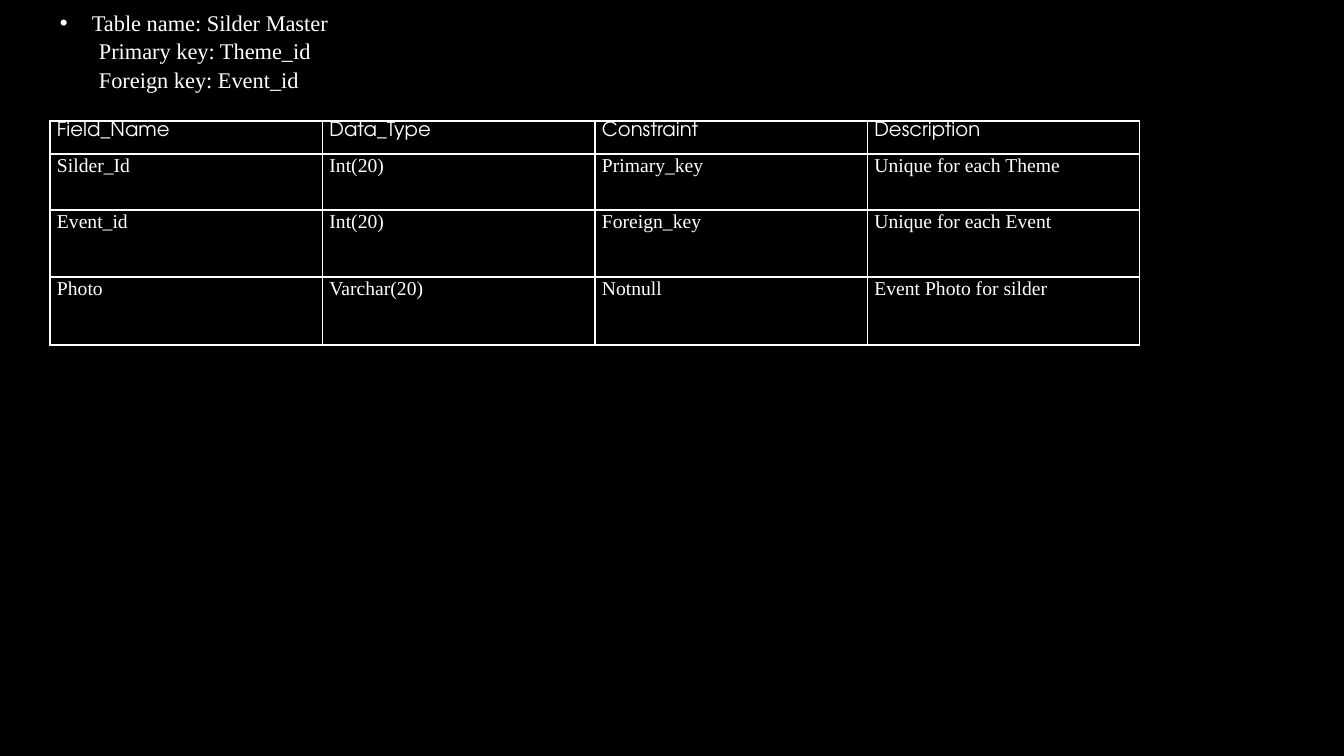
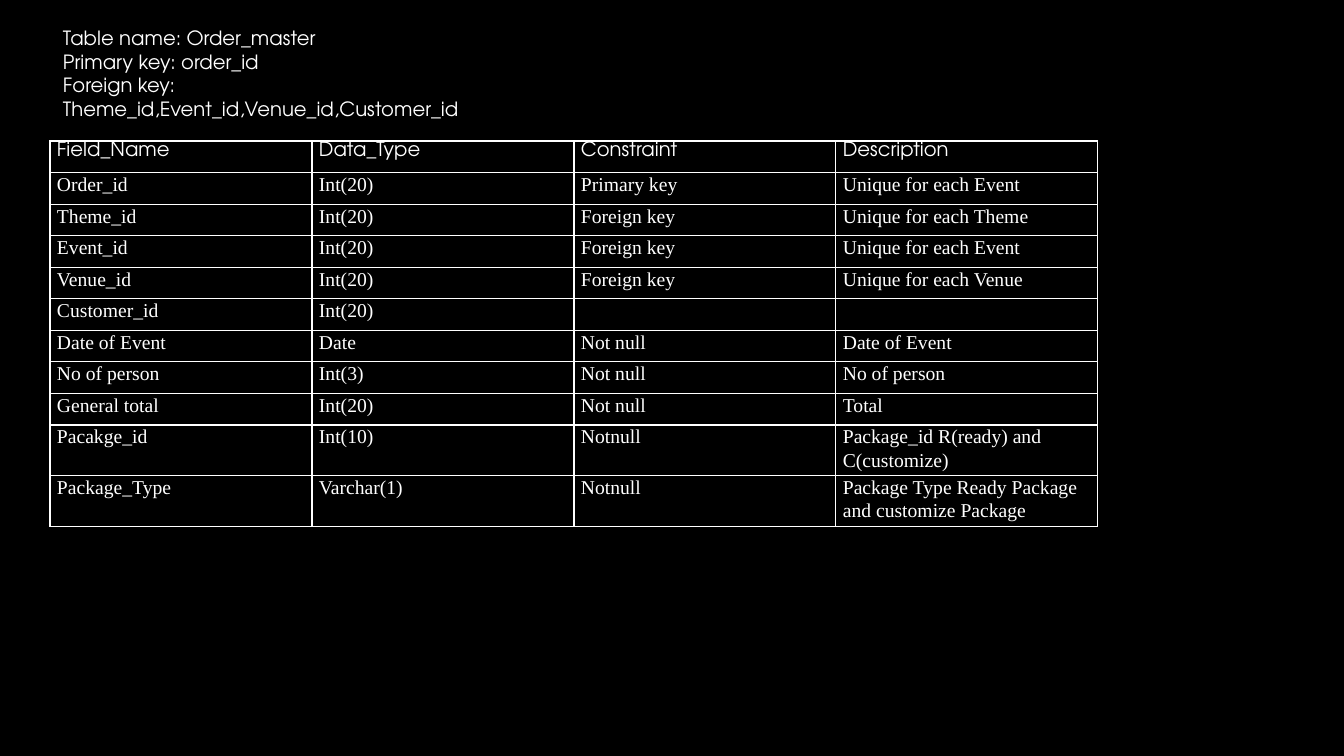
import pptx
import pptx.dml.color
import pptx.enum.text
import pptx.oxml
import pptx.oxml.ns
import pptx.util

PX = 914400 / 100.8
BLACK = pptx.dml.color.RGBColor(0x00, 0x00, 0x00)
WHITE = pptx.dml.color.RGBColor(0xFF, 0xFF, 0xFF)
HEADING_FONT = "TeX Gyre Adventor"
BODY_FONT = "Times New Roman"
HEADERS = ["Field_Name", "Data_Type", "Constraint", "Description"]
NAMESPACE = pptx.oxml.ns.nsdecls("a")
BORDER_SIDES = ["lnL", "lnR", "lnT", "lnB"]

SLIDES = [
    {
        "caption": [
            "Table name: Silder Master",
            "Primary key: Theme_id",
            "Foreign key: Event_id",
        ],
        "caption_box": (50, 3, 442, 119),
        "caption_font": BODY_FONT,
        "caption_size": 16,
        "caption_spacing": 1.05,
        "bulleted": True,
        "table_top": 121,
        "table_width": 1090,
        "row_heights": [33, 56, 67, 68],
        "rows": [
            ["Silder_Id", "Int(20)", "Primary_key", "Unique for each Theme"],
            ["Event_id", "Int(20)", "Foreign_key", "Unique for each Event"],
            ["Photo", "Varchar(20)", "Notnull", "Event Photo for silder"],
        ],
    },
    {
        "caption": [
            "Table name: Order_master",
            "Primary key: order_id",
            "Foreign key: Theme_id,Event_id,Venue_id,Customer_id",
        ],
        "caption_box": (53, 21, 470, 129),
        "caption_font": HEADING_FONT,
        "caption_size": 14,
        "caption_spacing": 1.0,
        "bulleted": False,
        "table_top": 141,
        "table_width": 1048,
        "row_heights": [284 / 9] * 9 + [50, 51],
        "rows": [
            ["Order_id", "Int(20)", "Primary key", "Unique for each Event"],
            ["Theme_id", "Int(20)", "Foreign key", "Unique for each Theme"],
            ["Event_id", "Int(20)", "Foreign key", "Unique for each Event"],
            ["Venue_id", "Int(20)", "Foreign key", "Unique for each Venue"],
            ["Customer_id", "Int(20)", "", ""],
            ["Date of Event", "Date", "Not null", "Date of Event"],
            ["No of person", "Int(3)", "Not null", "No of person"],
            ["General total", "Int(20)", "Not null", "Total"],
            ["Pacakge_id", "Int(10)", "Notnull", "Package_id R(ready) and C(customize)"],
            ["Package_Type", "Varchar(1)", "Notnull", "Package Type Ready Package and customize Package"],
        ],
    },
]


def px(length):
    return pptx.util.Emu(round(length * PX))


def format_paragraph(paragraph, font_name, size, spacing):
    paragraph.line_spacing = spacing
    for run in paragraph.runs:
        run.font.name = font_name
        run.font.size = pptx.util.Pt(size)
        run.font.color.rgb = WHITE


presentation = pptx.Presentation()
presentation.slide_width = px(1344)
presentation.slide_height = px(756)
background = presentation.slide_master.background.fill
background.solid()
background.fore_color.rgb = BLACK

for content in SLIDES:
    slide = presentation.slides.add_slide(presentation.slide_layouts[6])

    caption_box = slide.shapes.add_textbox(*map(px, content["caption_box"]))
    text_frame = caption_box.text_frame
    text_frame.word_wrap = True
    text_frame.vertical_anchor = pptx.enum.text.MSO_ANCHOR.TOP
    text_frame.text = "\n".join(content["caption"])
    for index, paragraph in enumerate(text_frame.paragraphs):
        format_paragraph(
            paragraph, content["caption_font"], content["caption_size"], content["caption_spacing"]
        )
        if content["bulleted"]:
            properties = paragraph._p.get_or_add_pPr()
            properties.set("marL", str(px(39 if index else 32)))
            properties.set("indent", str(px(0 if index else -32)))
            if index == 0:
                properties.append(pptx.oxml.parse_xml(f'<a:buFont {NAMESPACE} typeface="Arial"/>'))
                properties.append(pptx.oxml.parse_xml(f'<a:buChar {NAMESPACE} char="•"/>'))

    rows = [HEADERS] + content["rows"]
    heights = content["row_heights"]
    table = slide.shapes.add_table(
        len(rows), len(HEADERS),
        px(50), px(content["table_top"]), px(content["table_width"]), px(sum(heights)),
    ).table
    table.first_row = False
    table.horz_banding = False
    for column in table.columns:
        column.width = px(content["table_width"] / len(HEADERS))
    for row_index, values in enumerate(rows):
        table.rows[row_index].height = px(heights[row_index])
        is_header = row_index == 0
        for column_index, value in enumerate(values):
            cell = table.cell(row_index, column_index)
            cell.margin_left = cell.margin_right = px(7)
            cell.margin_top = cell.margin_bottom = 0
            cell.text_frame.text = value
            format_paragraph(
                cell.text_frame.paragraphs[0],
                HEADING_FONT if is_header else BODY_FONT,
                14,
                1.06 if is_header else 1.07,
            )
            cell_properties = cell._tc.get_or_add_tcPr()
            for side in BORDER_SIDES:
                cell_properties.append(pptx.oxml.parse_xml(
                    f'<a:{side} {NAMESPACE} w="{pptx.util.Pt(1)}"><a:solidFill>'
                    f'<a:srgbClr val="{WHITE}"/></a:solidFill></a:{side}>'
                ))
            cell.fill.background()

presentation.save("out.pptx")
